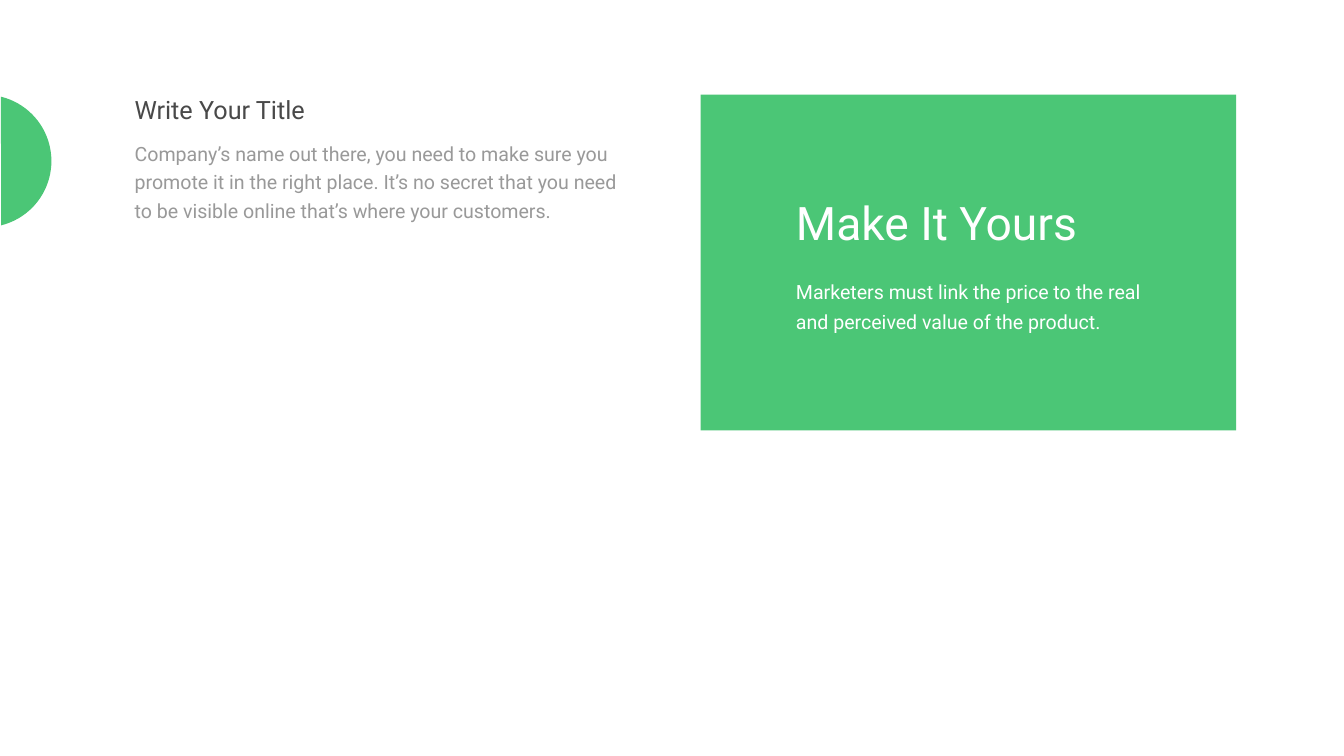
from dataclasses import dataclass

from pptx import Presentation
from pptx import util as u
from pptx.dml.color import RGBColor
from pptx.enum import shapes, text

HUES = {"green": "4BC676", "dark": "494949", "gray": "999999", "white": "FFFFFF"}
FONT = "Roboto"


@dataclass
class Box:
    left: float
    top: float
    width: float
    height: float

    def emu(self) -> list[u.Length]:
        return [u.Inches(n) for n in (self.left, self.top, self.width, self.height)]


def add_block(slide, kind, box: Box, hue: str):
    block = slide.shapes.add_shape(kind, *box.emu())
    block.shadow.inherit = False
    block.fill.solid()
    block.fill.fore_color.rgb = RGBColor.from_string(HUES[hue])
    block.line.fill.background()
    return block


def add_text(slide, words: str, box: Box, *, size: float, hue: str,
             lead: float | None = None, wrap: bool = True,
             inset: tuple[float, float] = (0.1, 0.05)) -> None:
    """Lead is the line pitch in points; inset is the side and top margin in inches."""
    frame = slide.shapes.add_textbox(*box.emu()).text_frame
    frame.word_wrap = wrap
    frame.auto_size = text.MSO_AUTO_SIZE.SHAPE_TO_FIT_TEXT
    frame.margin_left = frame.margin_right = u.Inches(inset[0])
    frame.margin_top = frame.margin_bottom = u.Inches(inset[1])
    para = frame.paragraphs[0]
    if lead:
        para.line_spacing = u.Pt(lead)
    run = para.add_run()
    run.text = words
    run.font.name = FONT
    run.font.size = u.Pt(size)
    run.font.color.rgb = RGBColor.from_string(HUES[hue])


def main() -> None:
    deck = Presentation()
    deck.slide_width, deck.slide_height = u.Inches(26.66), u.Inches(15)
    slide = deck.slides.add_slide(deck.slide_layouts[6])

    # Half disc at the left edge
    disc = add_block(slide, shapes.MSO_SHAPE.CHORD, Box(-1.61, 1.88, 2.63, 2.63), "green")
    disc.adjustments[0], disc.adjustments[1] = 8.27, 99.6
    disc.rotation = 270

    # Intro
    add_text(slide, "Company’s name out there, you need to make sure you promote it "
             "in the right place. It’s no secret that you need to be visible online "
             "that’s where your customers.", Box(2.43, 2.59, 10.05, 1.92),
             size=28, hue="gray", lead=40.8, inset=(0.24, 0.12))
    add_text(slide, "Write Your Title", Box(2.57, 1.82, 3.64, 0.71),
             size=36, hue="dark", wrap=False)

    # Green card
    add_block(slide, shapes.MSO_SHAPE.RECTANGLE, Box(13.9, 1.88, 10.62, 6.66), "green")
    add_text(slide, "Make It Yours", Box(15.69, 3.81, 7.04, 1.21), size=66, hue="white")
    add_text(slide, "Marketers must link the price to the real and perceived value "
             "of the product.", Box(15.69, 5.37, 7.04, 1.25),
             size=28, hue="white", lead=43)

    deck.save("out.pptx")


if __name__ == "__main__":
    main()
